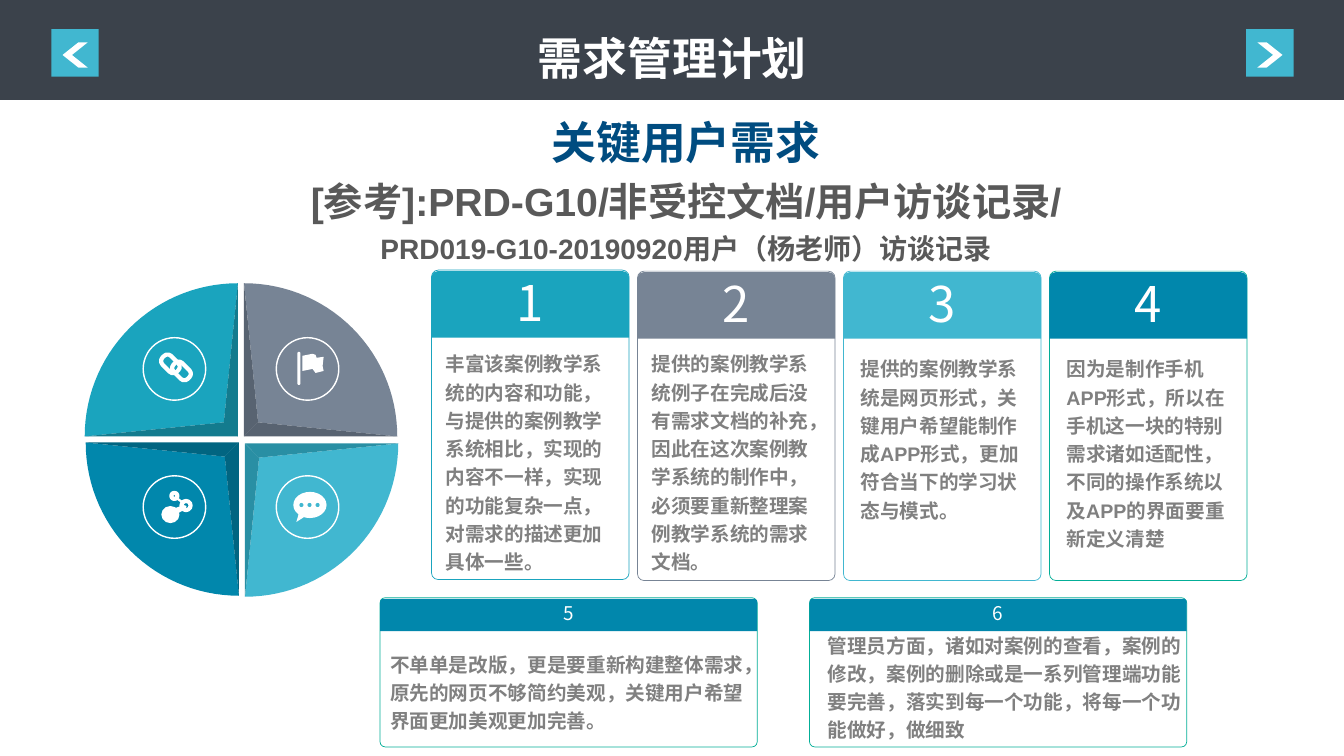
import math
from pptx import Presentation, util as u
from pptx.dml.color import RGBColor
from pptx.enum import shapes, text
from pptx.oxml.ns import qn
from lxml import etree

NOTO, SANS = "Noto Sans CJK SC", "Arial"
WHITE, GRAY, SKY, SEA, MINT = "FFFFFF", "808080", "41B7D0", "0187AC", "03AE97"
KIND = shapes.MSO_SHAPE

TITLE = "需求管理计划"
HEAD = [
    ("关键用户需求", 32, NOTO, "004C80"),
    ("[参考]:PRD-G10/非受控文档/用户访谈记录/", 28, SANS, "595959"),
    ("PRD019-G10-20190920用户（杨老师）访谈记录", 20, SANS, "595959"),
]
TALL = [
    ("丰富该案例教学系统的内容和功能，与提供的案例教学系统相比，实现的内容不一样，实现的功能复杂一点，对需求的描述更加具体一些。",
     "1AA4BE", "1AA4BE", 2.68, 0.04, 3.4),
    ("提供的案例教学系统例子在完成后没有需求文档的补充，因此在这次案例教学系统的制作中，必须要重新整理案例教学系统的需求文档。",
     "778495", "778495", 2.69, 0.04, 3.4),
    ("提供的案例教学系统是网页形式，关键用户希望能制作成APP形式，更加符合当下的学习状态与模式。",
     SKY, SKY, 2.69, 0.07, 3.45),
    ("因为是制作手机APP形式，所以在手机这一块的特别需求诸如适配性，不同的操作系统以及APP的界面要重新定义清楚",
     SEA, MINT, 2.69, 0.07, 3.45),
]
WIDE = [
    ("不单单是改版，更是要重新构建整体需求，原先的网页不够简约美观，关键用户希望界面更加美观更加完善。",
     3.77, 3.77, 6.38),
    ("管理员方面，诸如对案例的查看，案例的修改，案例的删除或是一系列管理端功能要完善，落实到每一个功能，将每一个功能做好，做细致",
     8.03, 8.11, 6.19),
]
PIE = [
    (2.42, 4.33, 1, -1, "778495", "586371"),
    (2.36, 4.33, -1, -1, "1AA4BE", "137B8E"),
    (2.43, 4.4, 1, 1, SKY, "298FA4"),
    (2.37, 4.39, -1, 1, SEA, "016581"),
]
FLAG = [(3, 3.53), (3.1, 3.51), (3.13, 3.52), (3.14, 3.55), (3.21, 3.54),
        (3.2, 3.63), (3.21, 3.68), (3.13, 3.7), (3.1, 3.66), (3, 3.68)]
ARMS = [
    [(1.74, 4.92), (1.81, 4.97), (1.8, 4.99), (1.73, 4.94)],
    [(1.74, 5.04), (1.82, 5.01), (1.85, 5.02), (1.84, 5.05), (1.77, 5.09)],
]

deck = Presentation()
deck.slide_width, deck.slide_height = u.Inches(13.33), u.Inches(7.5)
page = deck.slides.add_slide(deck.slide_layouts[6])


def hue(code):
    return RGBColor.from_string(code)


def paint(item, fill, line=None, width=1):
    item.shadow.inherit = False
    if fill:
        item.fill.solid()
        item.fill.fore_color.rgb = hue(fill)
    else:
        item.fill.background()
    if line:
        item.line.color.rgb = hue(line)
        item.line.width = u.Pt(width)
    else:
        item.line.fill.background()
    return item


def shape(kind, box, fill, line=None, width=1, adj=()):
    item = page.shapes.add_shape(kind, *map(u.Inches, box))
    for i, value in enumerate(adj):
        item.adjustments[i] = value
    return paint(item, fill, line, width)


def poly(points, fill):
    spots = [(u.Inches(x), u.Inches(y)) for x, y in points]
    pen = page.shapes.build_freeform(*spots[0], scale=1.0)
    pen.add_line_segments(spots[1:], close=True)
    return paint(pen.convert_to_shape(), fill)


def style(para, size, font, color, bold=True, space=1.2, center=False):
    para.line_spacing = space
    para.alignment = text.PP_ALIGN.CENTER if center else text.PP_ALIGN.LEFT
    for run in para.runs:
        run.font.size, run.font.bold, run.font.name = u.Pt(size), bold, font
        run.font.color.rgb = hue(color)
        east = etree.SubElement(run.font._element, qn("a:ea"))
        east.set("typeface", NOTO)


def label(box, rows, center=False):
    frame = page.shapes.add_textbox(*map(u.Inches, box)).text_frame
    frame.word_wrap = True
    frame.text = "\n".join(row[0] for row in rows)
    for para, row in zip(frame.paragraphs, rows):
        style(para, *row[1:], center=center)


def card(num, box, tab, fill, line, size, space):
    left, top, width, _ = box
    shape(KIND.ROUNDED_RECTANGLE, box, WHITE, line, 0.5, [0.034])
    item = shape(KIND.ROUND_2_SAME_RECTANGLE, (left, top + 0.01, width, tab), fill, adj=[0.099, 0])
    frame = item.text_frame
    frame.text = str(num)
    frame.vertical_anchor = text.MSO_ANCHOR.MIDDLE
    style(frame.paragraphs[0], size, NOTO, WHITE, False, space, True)


def pie():
    radius, inset = 1.52, 0.14
    for x, y, dx, dy, fill, shade in PIE:
        def at(a, b):
            return x + dx * a, y + dy * b
        turns = [math.radians(3 * i) for i in range(31)]
        arc = [at(radius * math.sin(t), radius * math.cos(t)) for t in turns]
        inner = at(inset, inset)
        poly(arc + [inner], fill)
        for tip in (arc[0], arc[-1]):
            poly([(x, y), tip, inner], shade)
        badge = (2.74 if dx > 0 else 1.42, 3.35 if dy < 0 else 4.72, 0.62, 0.62)
        shape(KIND.OVAL, badge, None, WHITE)


def icons():
    poly(FLAG, WHITE)
    shape(KIND.ROUNDED_RECTANGLE, (2.95, 3.49, 0.03, 0.33), WHITE, adj=[0.5])
    for x, y in ((1.69, 3.61), (1.8, 3.68)):
        link = shape(KIND.ROUNDED_RECTANGLE, (x - 0.1, y - 0.06, 0.2, 0.12), None, WHITE, 3, [0.4])
        link.rotation = 45
    shape(KIND.OVAL_CALLOUT, (2.91, 4.88, 0.33, 0.26), WHITE, adj=[-0.41, 0.65])
    for i in range(3):
        shape(KIND.OVAL, (2.97 + 0.08 * i, 4.99, 0.04, 0.04), SKY)
    shape(KIND.OVAL, (1.6, 5.02, 0.18, 0.17), WHITE)
    for x, y, size in ((1.7, 4.89, 0.06), (1.8, 4.97, 0.09)):
        shape(KIND.OVAL, (x, y, size, size), None, WHITE, 3)
    for arm in ARMS:
        poly(arm, WHITE)


def cards():
    for i, (words, fill, line, top, shift, low) in enumerate(TALL):
        left = 4.28 + 2.043 * i
        card(i + 1, (left, top, 1.96, 3.07), 0.66, fill, line, 35.1, 0.9)
        label((left + shift, low, 1.89, 2.3), [(words, 14, SANS, GRAY)])
    for num, (words, left, start, low) in enumerate(WIDE, len(TALL) + 1):
        card(num, (left, 5.93, 3.74, 1.48), 0.32, SEA, MINT, 13.5, 0.8)
        label((start, low, 3.74, 1.2), [(words, 14, SANS, GRAY)])


def header():
    label((2.42, 0.98, 8.77, 1.71), HEAD, True)
    shape(KIND.RECTANGLE, (0, 0, 13.33, 0.99), "3B424B")
    label((4.04, 0.15, 5.26, 0.75), [(TITLE, 32, SANS, WHITE)], True)
    for left, turn in ((0.51, 180), (12.36, 0)):
        shape(KIND.RECTANGLE, (left, 0.29, 0.47, 0.47), SKY)
        arrow = shape(KIND.CHEVRON, (left + 0.11, 0.42, 0.25, 0.25), WHITE, adj=[0.627])
        arrow.rotation = turn


def main():
    pie()
    icons()
    cards()
    header()
    deck.save("out.pptx")


if __name__ == "__main__":
    main()
